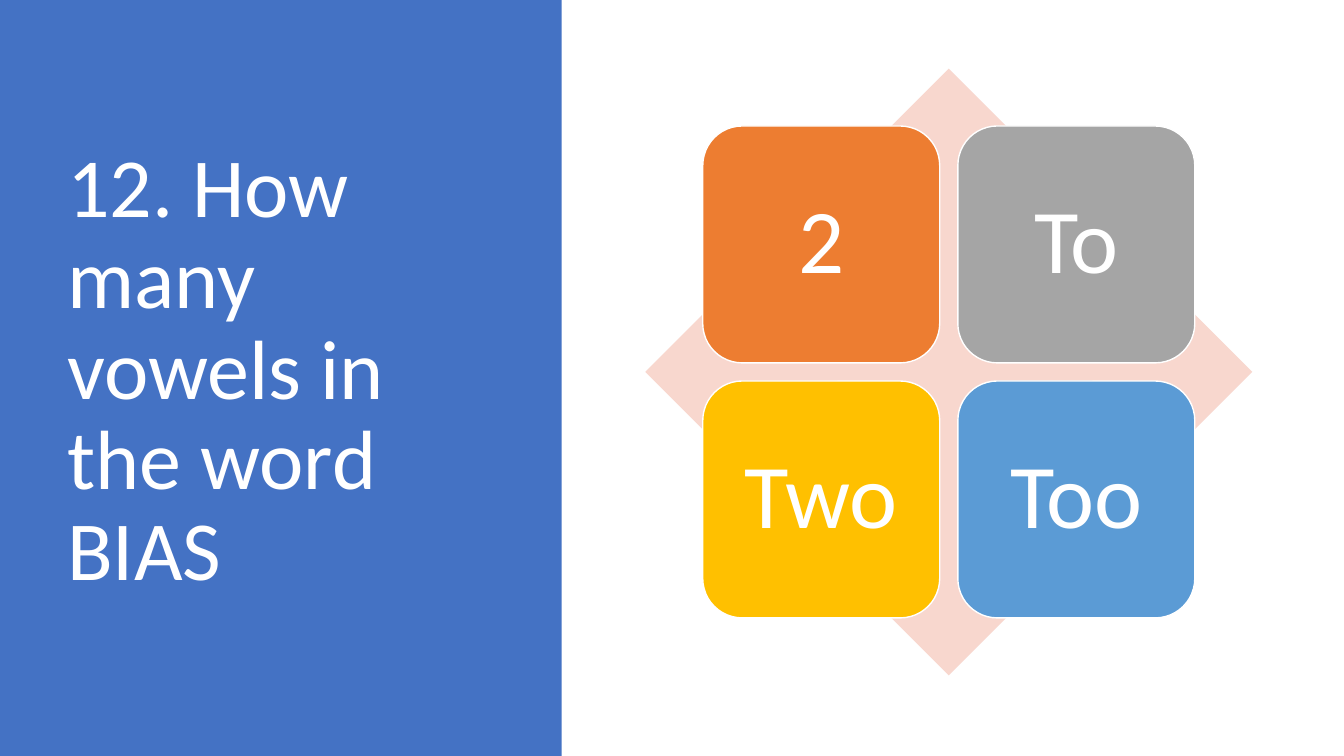
from pptx import Presentation
from pptx.dml.color import RGBColor
from pptx.enum.shapes import MSO_SHAPE
from pptx.enum.text import MSO_ANCHOR, PP_ALIGN
from pptx.util import Inches, Pt

COLORS = {
    "white": "FFFFFF",
    "panel": "4472C4",
    "diamond": "F8D7CE",
    "orange": "ED7D31",
    "gray": "A5A5A5",
    "gold": "FFC000",
    "blue": "5B9BD5",
}
ANSWERS = [("2", "orange"), ("To", "gray"), ("Two", "gold"), ("Too", "blue")]
LEFT, TOP, SIDE, STEP = 6.97, 1.25, 2.35, 2.53


def color(name):
    return RGBColor.from_string(COLORS[name])


def add_block(slide, kind, box, fill, line=None):
    shape = slide.shapes.add_shape(kind, *[Inches(n) for n in box])
    shape.shadow.inherit = False
    shape.fill.solid()
    shape.fill.fore_color.rgb = color(fill)
    if line:
        shape.line.color.rgb = color(line)
        shape.line.width = Pt(1)
    else:
        shape.line.fill.background()
    return shape


def set_text(shape, text, size, align):
    frame = shape.text_frame
    frame.text = text
    frame.word_wrap = True
    frame.vertical_anchor = MSO_ANCHOR.MIDDLE
    para = frame.paragraphs[0]
    para.alignment = align
    para.line_spacing = 0.9
    font = para.runs[0].font
    font.name = "Calibri"
    font.size = Pt(size)
    font.color.rgb = color("white")


def add_title(slide, text):
    box = slide.shapes.add_textbox(
        Inches(0.57), Inches(0.68), Inches(4.16), Inches(6.02))
    set_text(box, text, 60, PP_ALIGN.LEFT)


def add_tile(slide, index, text, fill):
    row, col = divmod(index, 2)
    box = (LEFT + col * STEP, TOP + row * STEP, SIDE, SIDE)
    tile = add_block(slide, MSO_SHAPE.ROUNDED_RECTANGLE, box, fill, "white")
    set_text(tile, text, 65, PP_ALIGN.CENTER)


def main():
    deck = Presentation()
    deck.slide_width = Inches(13.33)
    deck.slide_height = Inches(7.5)
    slide = deck.slides.add_slide(deck.slide_layouts[6])

    # Question panel
    add_block(slide, MSO_SHAPE.RECTANGLE, (0, 0, 5.57, 7.5), "panel")
    add_title(slide, "12. How many vowels in the word BIAS")

    # Answer tiles on the diamond
    add_block(slide, MSO_SHAPE.DIAMOND, (6.4, 0.68, 6.02, 6.02), "diamond")
    for index, (text, fill) in enumerate(ANSWERS):
        add_tile(slide, index, text, fill)

    deck.save("out.pptx")


if __name__ == "__main__":
    main()
